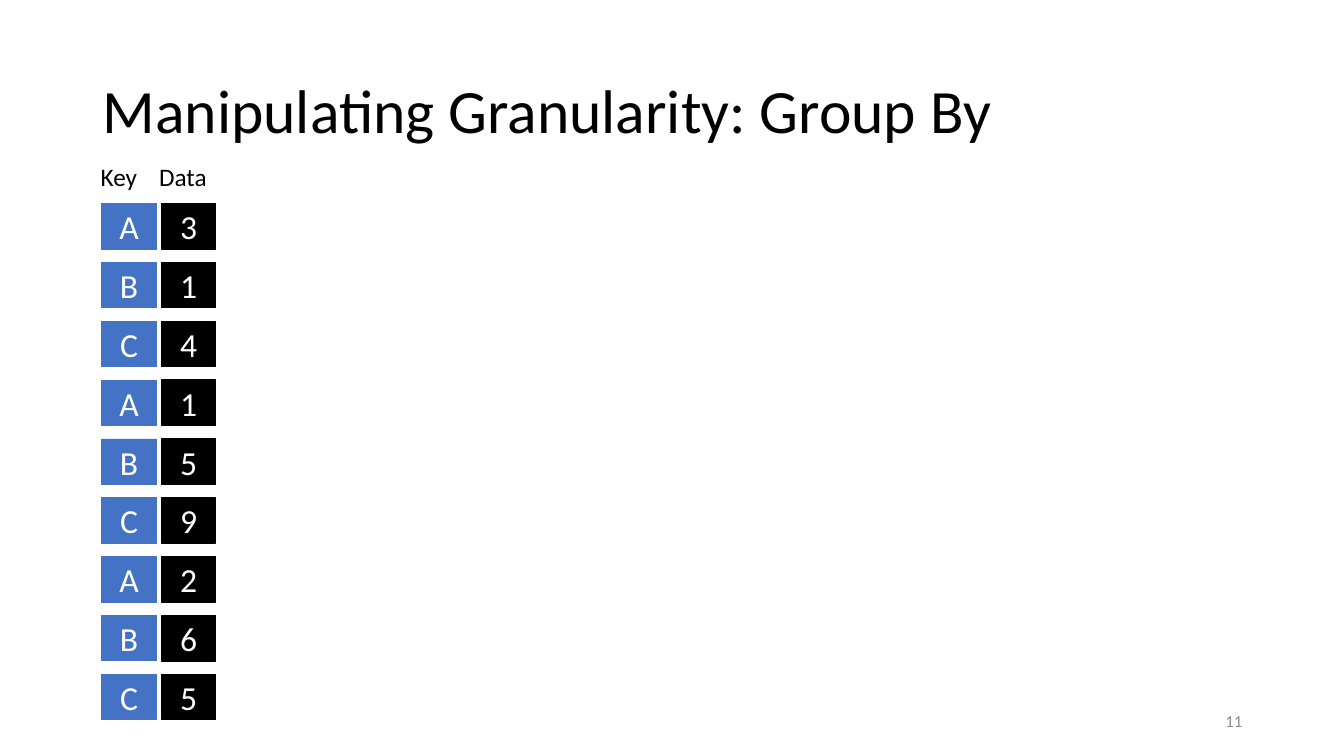
from dataclasses import dataclass

from pptx import Presentation
from pptx import util as u
from pptx.dml.color import RGBColor
from pptx.enum import shapes, text


@dataclass(frozen=True)
class Theme:
    font: str = "Calibri"
    ink: str = "000000"
    key_fill: str = "4472C4"
    data_fill: str = "000000"
    on_fill: str = "FFFFFF"
    muted: str = "8C8C8C"
    title_size: int = 44
    cell_size: int = 24
    label_size: int = 18
    number_size: int = 12


class SlideBuilder:
    """Holds the theme and the current slide."""

    def __init__(self, slide, theme):
        self.slide = slide
        self.theme = theme

    def set_wording(self, frame, wording, size, color, frame_format, paragraph_format):
        paragraph = frame.paragraphs[0]
        run = paragraph.add_run()
        run.text = wording
        run.font.color.rgb = RGBColor.from_string(color)
        font_format = {"name": self.theme.font, "size": u.Pt(size)}
        for target, values in ((frame, frame_format),
                               (paragraph, paragraph_format),
                               (run.font, font_format)):
            for name, value in values.items():
                setattr(target, name, value)

    def label(self, wording, box, size, color, wrap=True,
              anchor=text.MSO_ANCHOR.MIDDLE, **paragraph_format):
        textbox = self.slide.shapes.add_textbox(*map(u.Inches, box))
        frame_format = {"word_wrap": wrap, "vertical_anchor": anchor}
        self.set_wording(textbox.text_frame, wording, size, color,
                         frame_format, paragraph_format)

    def cell(self, row, wording, box, fill, line_width):
        rect = row.shapes.add_shape(shapes.MSO_SHAPE.RECTANGLE, *map(u.Inches, box))
        rect.shadow.inherit = False
        rect.fill.solid()
        rect.fill.fore_color.rgb = RGBColor.from_string(fill)
        rect.line.color.rgb = RGBColor.from_string(fill)
        rect.line.width = u.Pt(line_width)
        self.set_wording(rect.text_frame, wording, self.theme.cell_size,
                         self.theme.on_fill,
                         {"word_wrap": True, "vertical_anchor": text.MSO_ANCHOR.MIDDLE},
                         {"alignment": text.PP_ALIGN.CENTER})

    def record(self, key, value, top):
        row = self.slide.shapes.add_group_shape()
        self.cell(row, key, (KEY_LEFT, top, *CELL), self.theme.key_fill, 0.5)
        self.cell(row, value, (DATA_LEFT, top, *CELL), self.theme.data_fill, 1)


# Record grid, in inches
KEY_LEFT, DATA_LEFT = 1.01, 1.6
CELL = (0.54, 0.45)
FIRST_TOP, LAST_TOP = 2.02, 6.69
KEYS = "ABC" * 3
VALUES = "314159265"

theme = Theme()
deck = Presentation()
deck.slide_width, deck.slide_height = u.Inches(13.33), u.Inches(7.5)
page = SlideBuilder(deck.slides.add_slide(deck.slide_layouts[6]), theme)

# Title
page.label("Manipulating Granularity: Group By", (0.92, 0.4, 11.5, 1.45),
           theme.title_size, theme.ink, line_spacing=0.9)

# Column labels
for heading, left, width in (("Key", 0.9, 0.65), ("Data", 1.48, 0.82)):
    page.label(heading, (left, 1.55, width, 0.4), theme.label_size, theme.ink,
               wrap=False, anchor=text.MSO_ANCHOR.TOP)

# Records
pitch = (LAST_TOP - FIRST_TOP) / (len(KEYS) - 1)
for index, (key, value) in enumerate(zip(KEYS, VALUES)):
    page.record(key, value, FIRST_TOP + index * pitch)

# Slide number
page.label("11", (9.42, 6.95, 3, 0.4), theme.number_size, theme.muted,
           alignment=text.PP_ALIGN.RIGHT)

deck.save("out.pptx")
